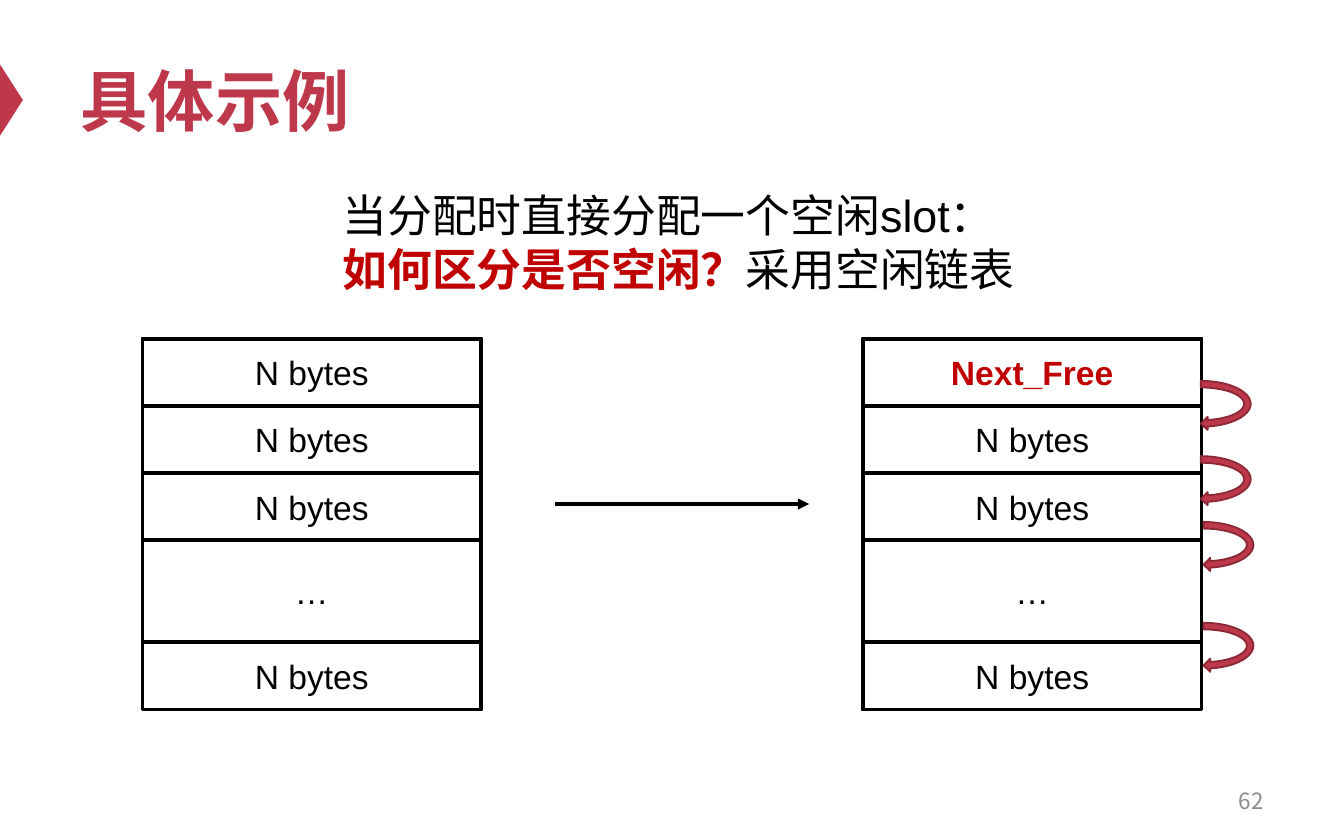
"""Build a slide showing how free slots are chained into a free list."""
from itertools import accumulate

from lxml.etree import SubElement
from pptx import Presentation
from pptx.dml.color import RGBColor
from pptx.enum.shapes import MSO_CONNECTOR, MSO_SHAPE as SHAPE
from pptx.enum.text import MSO_ANCHOR as ANCHOR, PP_ALIGN as ALIGN
from pptx.oxml.ns import qn
from pptx.util import Inches, Pt

COLORS = {"brand": "BE384B", "brand_dark": "8D2937", "alert": "C00000",
          "ink": "000000", "paper": "FFFFFF", "muted": "8C8C8C"}
TITLE = "具体示例"
PAGE = "62"
INTRO = [
    [("当分配时直接分配一个空闲slot：", "ink", False)],
    [("如何区分是否空闲？", "alert", True), ("采用空闲链表", "ink", False)],
]
SLOT = ("N bytes", "ink", False)
FREE = ("Next_Free", "alert", True)
REST = ("…", "ink", False)
STACKS = [
    (6.42, [FREE, SLOT, SLOT, REST, SLOT]),
    (1.06, [SLOT, SLOT, SLOT, REST, SLOT]),
]
ROW_HEIGHTS = [0.5, 0.5, 0.5, 0.76, 0.5]
STACK_TOP, STACK_W = 2.52, 2.52
LINKS = [(8.74, 2.61), (8.74, 3.17), (8.76, 3.66), (8.76, 4.41)]
LINK_SIZE = (0.39, 0.79)


def rgb(name):
    return RGBColor.from_string(COLORS[name])


def add_run(p, text, size, color, bold=False, font="Arial"):
    r = p.add_run()
    r.text = text
    r.font.name, r.font.size, r.font.bold = font, Pt(size), bold
    r.font.color.rgb = rgb(color)
    return r


def add_box(s, kind, box, fill, line=None, width=2, rotation=0):
    sp = s.shapes.add_shape(kind, *map(Inches, box))
    sp.shadow.inherit = False
    sp.rotation = rotation
    sp.fill.solid()
    sp.fill.fore_color.rgb = rgb(fill)
    if line:
        sp.line.color.rgb = rgb(line)
        sp.line.width = Pt(width)
    else:
        sp.line.fill.background()
    return sp


def add_stack(s, left, labels):
    add_box(s, SHAPE.RECTANGLE, (left, STACK_TOP, STACK_W, sum(ROW_HEIGHTS)), "paper", "ink")
    tops = accumulate(ROW_HEIGHTS, initial=STACK_TOP)
    for (text, color, bold), top, height in zip(labels, tops, ROW_HEIGHTS):
        sp = add_box(s, SHAPE.RECTANGLE, (left, top, STACK_W, height), "paper", "ink")
        tf = sp.text_frame
        tf.vertical_anchor = ANCHOR.MIDDLE
        p = tf.paragraphs[0]
        p.alignment = ALIGN.CENTER
        add_run(p, text, 18, color, bold)


def add_arrow(s, x1, x2, y):
    arrow = s.shapes.add_connector(MSO_CONNECTOR.STRAIGHT, *map(Inches, (x1, y, x2, y)))
    arrow.line.color.rgb = rgb("ink")
    arrow.line.width = Pt(2)
    SubElement(arrow.line._get_or_add_ln(), qn("a:tailEnd"), type="triangle")
    SubElement(arrow._element.spPr, qn("a:effectLst"))


def add_title(s):
    title = s.shapes.title
    title.left, title.top, title.width, title.height = map(Inches, (0.5, 0.25, 9, 0.98))
    title.text_frame.vertical_anchor = ANCHOR.MIDDLE
    p = title.text_frame.paragraphs[0]
    p.alignment = ALIGN.LEFT
    add_run(p, TITLE, 36, "brand", True)


def add_page_number(s):
    tf = s.shapes.add_textbox(*map(Inches, (7.17, 5.79, 2.33, 0.33))).text_frame
    tf.word_wrap = True
    tf.vertical_anchor = ANCHOR.MIDDLE
    p = tf.paragraphs[0]
    p.alignment = ALIGN.RIGHT
    add_run(p, PAGE, 12, "muted", font="Noto Sans CJK SC")


def add_intro(s):
    tf = s.shapes.add_textbox(*map(Inches, (2.45, 1.35, 5.25, 0.91))).text_frame
    tf.word_wrap = False
    for i, runs in enumerate(INTRO):
        p = tf.add_paragraph() if i else tf.paragraphs[0]
        for text, color, bold in runs:
            add_run(p, text, 24, color, bold)


def main():
    prs = Presentation()
    prs.slide_width, prs.slide_height = Inches(10), Inches(6.25)
    s = prs.slides.add_slide(prs.slide_layouts[5])
    add_box(s, SHAPE.ISOSCELES_TRIANGLE, (-0.18, 0.66, 0.53, 0.17), "brand", rotation=90)
    add_title(s)
    add_page_number(s)
    add_intro(s)
    add_arrow(s, 4.13, 6.02, 3.75)
    for left, labels in STACKS:
        add_stack(s, left, labels)
    for corner in LINKS:
        add_box(s, SHAPE.CIRCULAR_ARROW, corner + LINK_SIZE, "brand", "brand_dark", 1, 90)
    prs.save("out.pptx")


if __name__ == "__main__":
    main()
